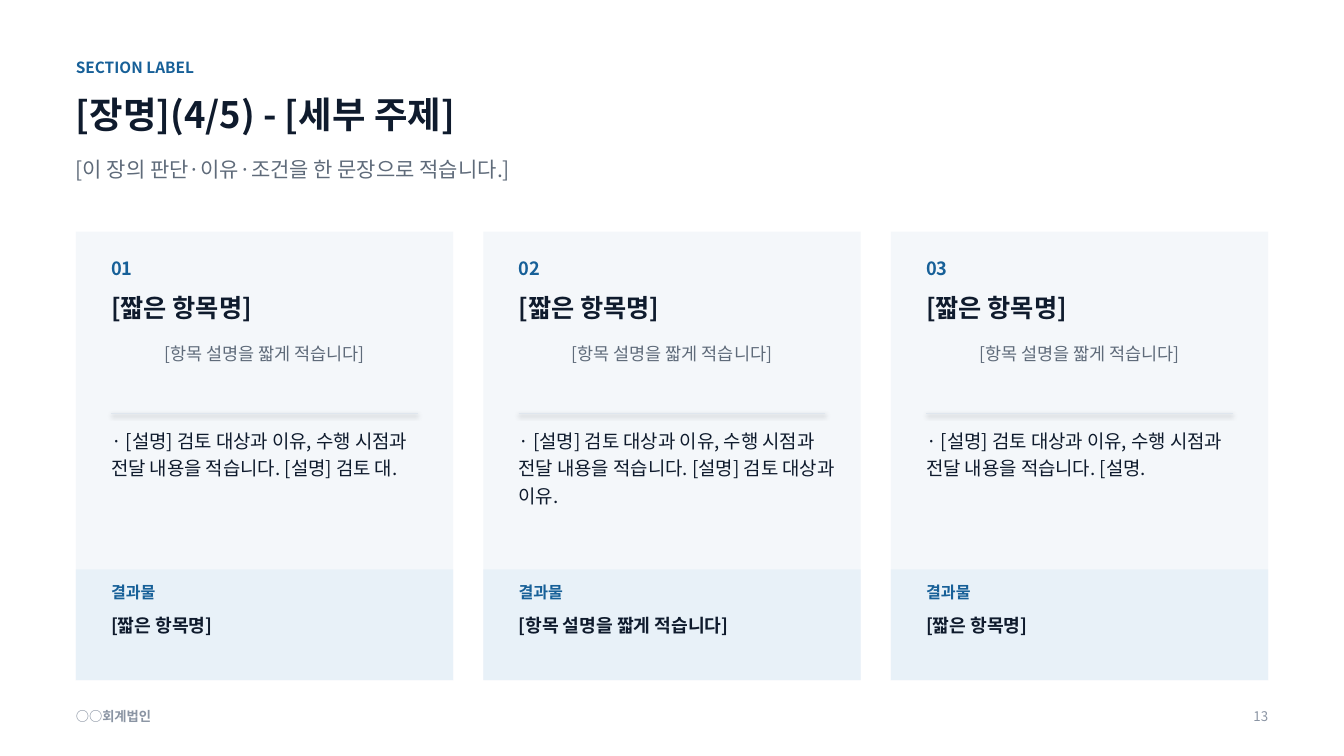
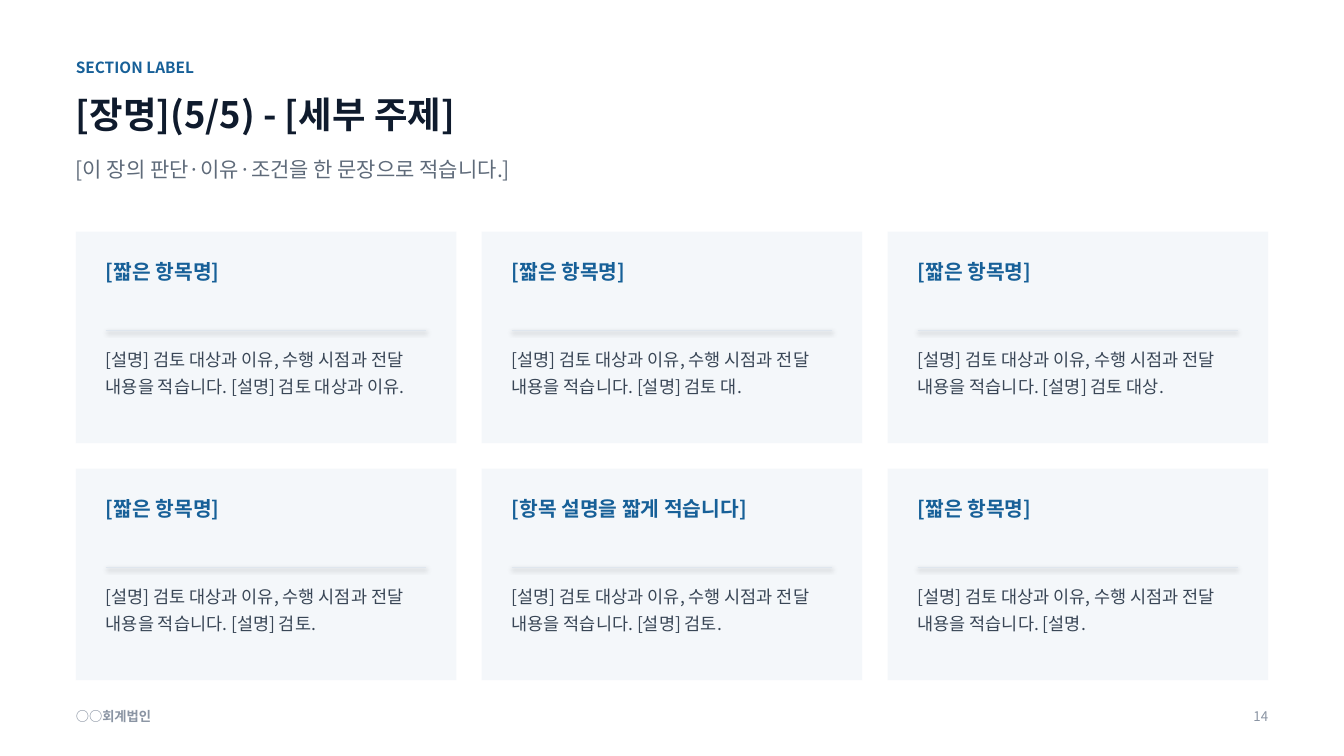
from dataclasses import dataclass

from lxml.etree import SubElement
from pptx import Presentation
from pptx.dml.color import RGBColor as RGB
from pptx.enum.shapes import MSO_CONNECTOR as CONN, MSO_SHAPE as SHAPE
from pptx.enum.text import MSO_ANCHOR as ANCHOR, MSO_AUTO_SIZE as FIT, PP_ALIGN as ALIGN
from pptx.oxml.ns import qn
from pptx.util import Cm, Pt


@dataclass(frozen=True)
class Style:
    size: float
    color: str
    bold: bool = False
    spacing: float = 1.15
    align: ALIGN = ALIGN.LEFT
    after: float = 0


class Theme:
    font = "Noto Sans CJK KR"
    blue, ink, body, muted, faint = "176098", "0F1B2D", "394656", "5F6B7A", "8A94A3"
    card, band, rule = "F4F7FA", "E8F1F8", "DFE6EE"

    label = Style(11, blue, True)
    title = Style(26, ink, True)
    lead = Style(15, muted)
    footer = Style(9.5, faint, True)
    page = Style(9.5, faint, align=ALIGN.RIGHT)

    step_number = Style(13, blue, True)
    step_name = Style(18, ink, True)
    step_note = Style(12.5, muted, spacing=1.25, align=ALIGN.CENTER)
    step_body = Style(13.5, ink, spacing=1.2, after=4)
    result_label = Style(11.5, blue, True)
    result_name = Style(13, ink, True, spacing=1.2)

    topic_name = Style(14.5, blue, True, spacing=1.2)
    topic_body = Style(12.5, body, spacing=1.3)


LEFT, WIDTH, TOP, HEIGHT = 1.91, 30.05, 5.84, 11.3
COLUMNS = 3

NAME = "[짧은 항목명]"
NOTE = "[항목 설명을 짧게 적습니다]"
DETAIL = "[설명] 검토 대상과 이유, 수행 시점과 전달 내용을 적습니다. [설명"

STEPS = [
    (NAME, NOTE, "] 검토 대.", NAME),
    (NAME, NOTE, "] 검토 대상과 이유.", NOTE),
    (NAME, NOTE, ".", NAME),
]
TOPICS = [
    (NAME, "] 검토 대상과 이유."),
    (NAME, "] 검토 대."),
    (NAME, "] 검토 대상."),
    (NAME, "] 검토."),
    (NOTE, "] 검토."),
    (NAME, "."),
]


def write(sp, text, style):
    tf = sp.text_frame
    tf.margin_left = tf.margin_top = tf.margin_right = tf.margin_bottom = 0
    tf.word_wrap = True
    tf.auto_size = FIT.NONE
    tf.vertical_anchor = ANCHOR.TOP
    p = tf.paragraphs[0]
    p.alignment = style.align
    p.line_spacing = style.spacing
    p.space_after = Pt(style.after)
    r = p.add_run()
    r.text = text
    r.font.name = Theme.font
    r.font.size = Pt(style.size)
    r.font.bold = style.bold
    r.font.color.rgb = RGB.from_string(style.color)
    SubElement(r.font._element, qn("a:ea")).set("typeface", Theme.font)


def add_text(s, x, y, w, h, text, style):
    write(s.shapes.add_textbox(Cm(x), Cm(y), Cm(w), Cm(h)), text, style)


def add_panel(s, x, y, w, h, color):
    sp = s.shapes.add_shape(SHAPE.RECTANGLE, Cm(x), Cm(y), Cm(w), Cm(h))
    sp.shadow.inherit = False
    sp.fill.solid()
    sp.fill.fore_color.rgb = RGB.from_string(color)
    sp.line.fill.background()


def add_rule(s, x, y, w):
    line = s.shapes.add_connector(CONN.STRAIGHT, Cm(x), Cm(y), Cm(x + w), Cm(y)).line
    line.color.rgb = RGB.from_string(Theme.rule)
    line.width = Pt(0.75)


def add_page(prs, part, number):
    s = prs.slides.add_slide(prs.slide_layouts[5])
    title = s.shapes.title
    title.left, title.top, title.width, title.height = Cm(LEFT), Cm(2.16), Cm(WIDTH), Cm(1.52)
    write(title, f"[장명]({part}/5) - [세부 주제]", Theme.title)
    add_text(s, LEFT, 1.4, 22.86, 0.64, "SECTION LABEL", Theme.label)
    add_text(s, LEFT, 3.86, WIDTH, 1.6, "[이 장의 판단·이유·조건을 한 문장으로 적습니다.]", Theme.lead)
    add_text(s, LEFT, 17.78, 15.24, 0.56, "○○회계법인", Theme.footer)
    add_text(s, LEFT + WIDTH - 2.54, 17.78, 2.54, 0.56, str(number), Theme.page)
    return s


def grid(count, gap):
    rows = count // COLUMNS
    w = (WIDTH - gap * (COLUMNS - 1)) / COLUMNS
    h = (HEIGHT - gap * (rows - 1)) / rows
    for i in range(count):
        row, col = divmod(i, COLUMNS)
        yield LEFT + col * (w + gap), TOP + row * (h + gap), w, h


def add_step(s, cell, number, name, note, ending, result):
    x, y, w, h = cell
    pad, band_h = 0.89, 2.79
    tx, tw = x + pad, w - 2 * pad
    band_y = y + h - band_h
    add_panel(s, x, y, w, h, Theme.card)
    add_text(s, tx, y + 0.56, 2.54, 0.76, f"{number:02}", Theme.step_number)
    add_text(s, tx, y + 1.4, tw, 1.14, name, Theme.step_name)
    add_text(s, tx, y + 2.67, tw, 1.78, note, Theme.step_note)
    add_rule(s, tx, y + 4.57, tw)
    add_text(s, tx, y + 4.88, tw + 0.25, 3.3, f"· {DETAIL}{ending}", Theme.step_body)
    add_panel(s, x, band_y, w, band_h, Theme.band)
    add_text(s, tx, band_y + 0.25, tw, 0.76, "결과물", Theme.result_label)
    add_text(s, tx, band_y + 1.02, tw, 1.52, result, Theme.result_name)


def add_topic(s, cell, name, ending):
    x, y, w, h = cell
    pad = 0.76
    tx, tw = x + pad, w - 2 * pad
    add_panel(s, x, y, w, h, Theme.card)
    add_text(s, tx, y + 0.56, tw, 1.9, name, Theme.topic_name)
    add_rule(s, tx, y + 2.49, tw)
    add_text(s, tx, y + 2.79, tw, 2.41, DETAIL + ending, Theme.topic_body)


def main():
    prs = Presentation()
    prs.slide_width, prs.slide_height = Cm(33.87), Cm(19.05)

    s = add_page(prs, 4, 13)
    for number, (cell, step) in enumerate(zip(grid(len(STEPS), 0.76), STEPS), 1):
        add_step(s, cell, number, *step)

    s = add_page(prs, 5, 14)
    for cell, topic in zip(grid(len(TOPICS), 0.64), TOPICS):
        add_topic(s, cell, *topic)

    prs.save("out.pptx")


if __name__ == "__main__":
    main()
